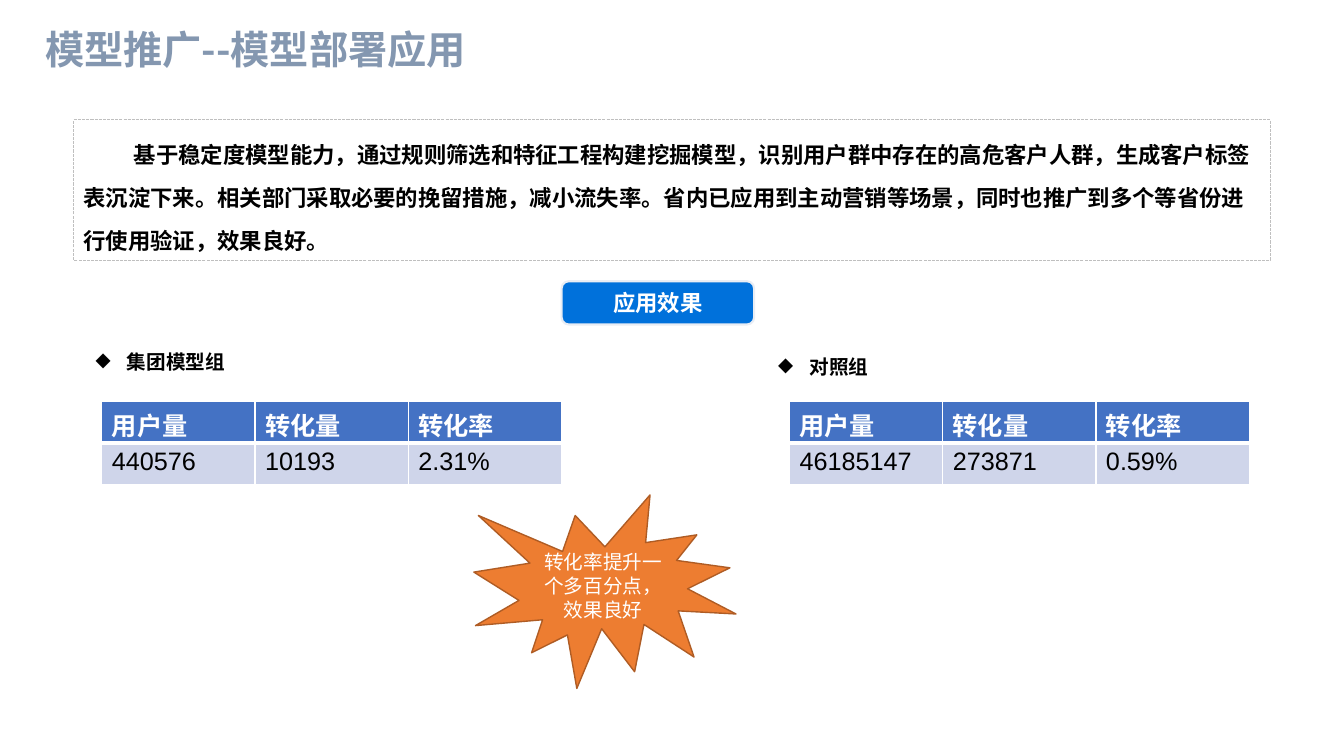
import pptx
import pptx.util
import pptx.dml.color
import pptx.enum.dml
import pptx.enum.shapes
import pptx.enum.text
import pptx.oxml
import pptx.oxml.ns
from lxml import etree

Inches, Pt = pptx.util.Inches, pptx.util.Pt
SHAPE = pptx.enum.shapes.MSO_SHAPE
ALIGN = pptx.enum.text.PP_ALIGN
ANCHOR = pptx.enum.text.MSO_ANCHOR

TITLE = "模型推广--模型部署应用"
SUMMARY = (
    "基于稳定度模型能力，通过规则筛选和特征工程构建挖掘模型，识别用户群中存在的高危客户人群，"
    "生成客户标签表沉淀下来。相关部门采取必要的挽留措施，减小流失率。"
    "省内已应用到主动营销等场景，同时也推广到多个等省份进行使用验证，效果良好。"
)
BADGE = "应用效果"
BURST = "转化率提升一个多百分点，效果良好"
HEADER = ("用户量", "转化量", "转化率")
# name, label box, table left, values
GROUPS = [
    ("集团模型组", (0.85, 3.31, 6.45, 1.08), 1.01, ("440576", "10193", "2.31%")),
    ("对照组", (7.62, 3.36, 4.98, 0.81), 7.83, ("46185147", "273871", "0.59%")),
]

COLORS = {
    "title": "8497B0", "text": "000000", "white": "FFFFFF", "frame": "BFBFBF",
    "badge": "0071DB", "badge_line": "E9EDF4", "head": "4472C4", "body": "CFD5EA",
    "burst": "ED7D31", "burst_line": "AF5C24",
}
CJK, LATIN = "Noto Sans CJK SC", "Arial"
TABLE_TOP, COL_W, ROW_H = 3.98, 1.52, 0.415


def rgb(name):
    return pptx.dml.color.RGBColor.from_string(COLORS[name])


def write(tf, text, size, color, font=CJK, bold=True, align=ALIGN.LEFT,
          anchor=ANCHOR.TOP, spacing=None):
    tf.word_wrap = True
    tf.vertical_anchor = anchor
    p = tf.paragraphs[0]
    p.alignment = align
    p.line_spacing = spacing
    r = p.add_run()
    r.text = text
    f = p.font
    f.name, f.size, f.bold = font, Pt(size), bold
    f.color.rgb = rgb(color)
    # East Asian glyphs take their own typeface, set on the run
    r.font.name = font
    r.font.size, r.font.bold = Pt(size), bold
    r.font.color.rgb = rgb(color)
    ea = etree.SubElement(r.font._element, pptx.oxml.ns.qn("a:ea"))
    ea.set("typeface", CJK)
    return p


def indent(p, left, first, bullet=None):
    pPr = p._p.get_or_add_pPr()
    pPr.set("marL", str(Inches(left)))
    pPr.set("indent", str(Inches(first)))
    if bullet:
        # the bullet comes before the paragraph's default run properties
        bu = pptx.oxml.parse_xml(
            f'<a:buChar {pptx.oxml.ns.nsdecls("a")} char="{bullet}"/>')
        pPr.find(pptx.oxml.ns.qn("a:defRPr")).addprevious(bu)


def add_shape(slide, kind, box, line, width, fill=None):
    sp = slide.shapes.add_shape(kind, *map(Inches, box))
    sp.shadow.inherit = False
    if fill:
        sp.fill.solid()
        sp.fill.fore_color.rgb = rgb(fill)
    else:
        sp.fill.background()
    sp.line.color.rgb = rgb(line)
    sp.line.width = Pt(width)
    return sp


def add_text(slide, box, text, size, color, **style):
    tf = slide.shapes.add_textbox(*map(Inches, box)).text_frame
    return write(tf, text, size, color, **style)


def border(cell, widths):
    tcPr = cell._tc.get_or_add_tcPr()
    for side, width in widths.items():
        tcPr.append(pptx.oxml.parse_xml(
            f'<a:ln{side} {pptx.oxml.ns.nsdecls("a")} w="{Pt(width)}"><a:solidFill>'
            f'<a:srgbClr val="{COLORS["white"]}"/></a:solidFill></a:ln{side}>'))


def add_group_table(slide, left, values):
    rows = [HEADER, values]
    size = (COL_W * len(HEADER), ROW_H * len(rows))
    table = slide.shapes.add_table(
        len(rows), len(HEADER), *map(Inches, (left, TABLE_TOP, *size))).table
    for i, row in enumerate(rows):
        head = i == 0
        for j, text in enumerate(row):
            cell = table.cell(i, j)
            border(cell, {"L": 1, "R": 1, "T": 1 if head else 3, "B": 3 if head else 1})
            cell.fill.solid()
            cell.fill.fore_color.rgb = rgb("head" if head else "body")
            write(cell.text_frame, text, 18, "white" if head else "text",
                  font=LATIN, bold=head)


def main():
    prs = pptx.Presentation()
    prs.slide_width, prs.slide_height = Inches(13.33), Inches(7.5)
    slide = prs.slides.add_slide(prs.slide_layouts[6])

    frame = add_shape(slide, SHAPE.RECTANGLE, (0.73, 1.19, 11.87, 1.39), "frame", 0.75)
    frame.line.dash_style = pptx.enum.dml.MSO_LINE.SQUARE_DOT
    p = write(frame.text_frame, SUMMARY, 16, "text", spacing=1.6)
    indent(p, 0, 0.5)

    badge = add_shape(slide, SHAPE.ROUNDED_RECTANGLE, (5.57, 2.79, 1.91, 0.43),
                      "badge_line", 1.5, "badge")
    write(badge.text_frame, BADGE, 16, "white", font=LATIN,
          align=ALIGN.CENTER, anchor=ANCHOR.MIDDLE)

    for name, box, left, values in GROUPS:
        p = add_text(slide, box, name, 14, "text", spacing=1.5)
        indent(p, 0.31, -0.31, "◆")
        add_group_table(slide, left, values)

    burst = add_shape(slide, SHAPE.EXPLOSION1, (4.7, 4.91, 2.6, 1.92),
                      "burst_line", 1, "burst")
    write(burst.text_frame, BURST, 14, "white", font=LATIN, bold=False,
          align=ALIGN.CENTER, anchor=ANCHOR.MIDDLE)

    add_text(slide, (0.35, 0.13, 12, 0.77), TITLE, 28, "title",
             anchor=ANCHOR.MIDDLE, spacing=0.9)
    prs.save("out.pptx")


if __name__ == "__main__":
    main()
